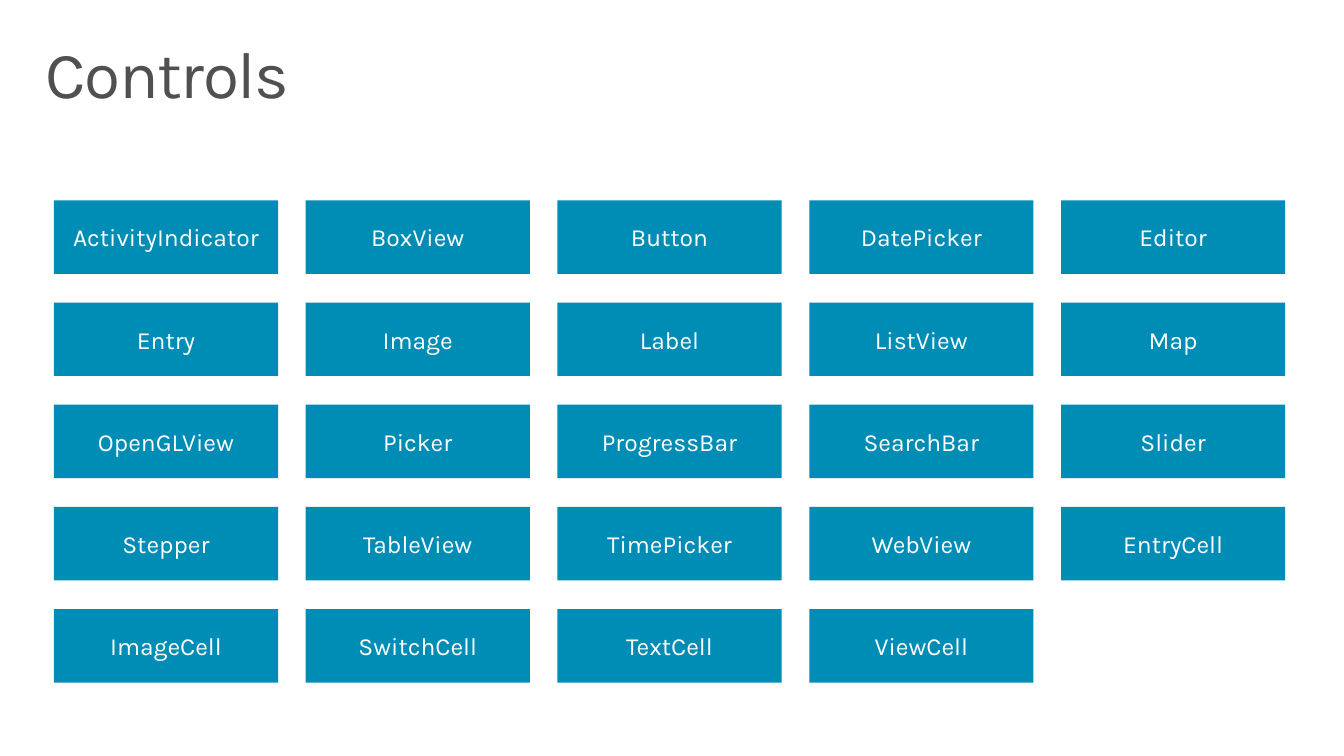
from pptx import Presentation
from pptx.dml.color import RGBColor
from pptx.enum.shapes import MSO_SHAPE as SHAPE
from pptx.enum.text import MSO_ANCHOR as ANCHOR, PP_ALIGN as ALIGN
from pptx.util import Cm, Pt

TITLE = "Controls"
CONTROLS = [
    ["ActivityIndicator", "BoxView", "Button", "DatePicker", "Editor"],
    ["Entry", "Image", "Label", "ListView", "Map"],
    ["OpenGLView", "Picker", "ProgressBar", "SearchBar", "Slider"],
    ["Stepper", "TableView", "TimePicker", "WebView", "EntryCell"],
    ["ImageCell", "SwitchCell", "TextCell", "ViewCell"],
]

FONT = "Karla"
BLUE = RGBColor(0x00, 0x8D, 0xB5)
GRAY = RGBColor(0x50, 0x50, 0x50)
WHITE = RGBColor(0xFF, 0xFF, 0xFF)

LEFT, TOP = 1.36, 5.05
TILE_W, TILE_H = 5.65, 1.85
STEP_X, STEP_Y = 6.345, 2.575


def write(sp, text, size, color, align=ALIGN.LEFT, anchor=ANCHOR.TOP,
          line_spacing=None, tracking=None):
    tf = sp.text_frame
    tf.word_wrap = True
    tf.vertical_anchor = anchor
    p = tf.paragraphs[0]
    p.alignment = align
    p.line_spacing = line_spacing
    r = p.add_run()
    r.text = text
    r.font.name = FONT
    r.font.size = Pt(size)
    r.font.color.rgb = color
    if tracking is not None:
        r._r.get_or_add_rPr().set("spc", str(tracking))
    return tf


def add_tile(s, text, col, row):
    sp = s.shapes.add_shape(SHAPE.ROUNDED_RECTANGLE,
                            Cm(LEFT + col * STEP_X), Cm(TOP + row * STEP_Y),
                            Cm(TILE_W), Cm(TILE_H))
    sp.adjustments[0] = 0
    sp.shadow.inherit = False
    sp.fill.solid()
    sp.fill.fore_color.rgb = BLUE
    sp.line.fill.background()
    write(sp, text, 17.6, WHITE, align=ALIGN.CENTER, anchor=ANCHOR.MIDDLE)


def main():
    prs = Presentation()
    prs.slide_width, prs.slide_height = Cm(33.87), Cm(19.05)
    s = prs.slides.add_slide(prs.slide_layouts[6])

    for row, names in enumerate(CONTROLS):
        for col, name in enumerate(names):
            add_tile(s, name, col, row)

    title = s.shapes.add_textbox(Cm(0.74), Cm(0.81), Cm(32.39), Cm(2.49))
    tf = write(title, TITLE, 47, GRAY, line_spacing=0.9, tracking=-100)
    tf.margin_left = tf.margin_right = Cm(0.41)
    tf.margin_top = tf.margin_bottom = Cm(0.25)

    prs.save("out.pptx")


if __name__ == "__main__":
    main()
